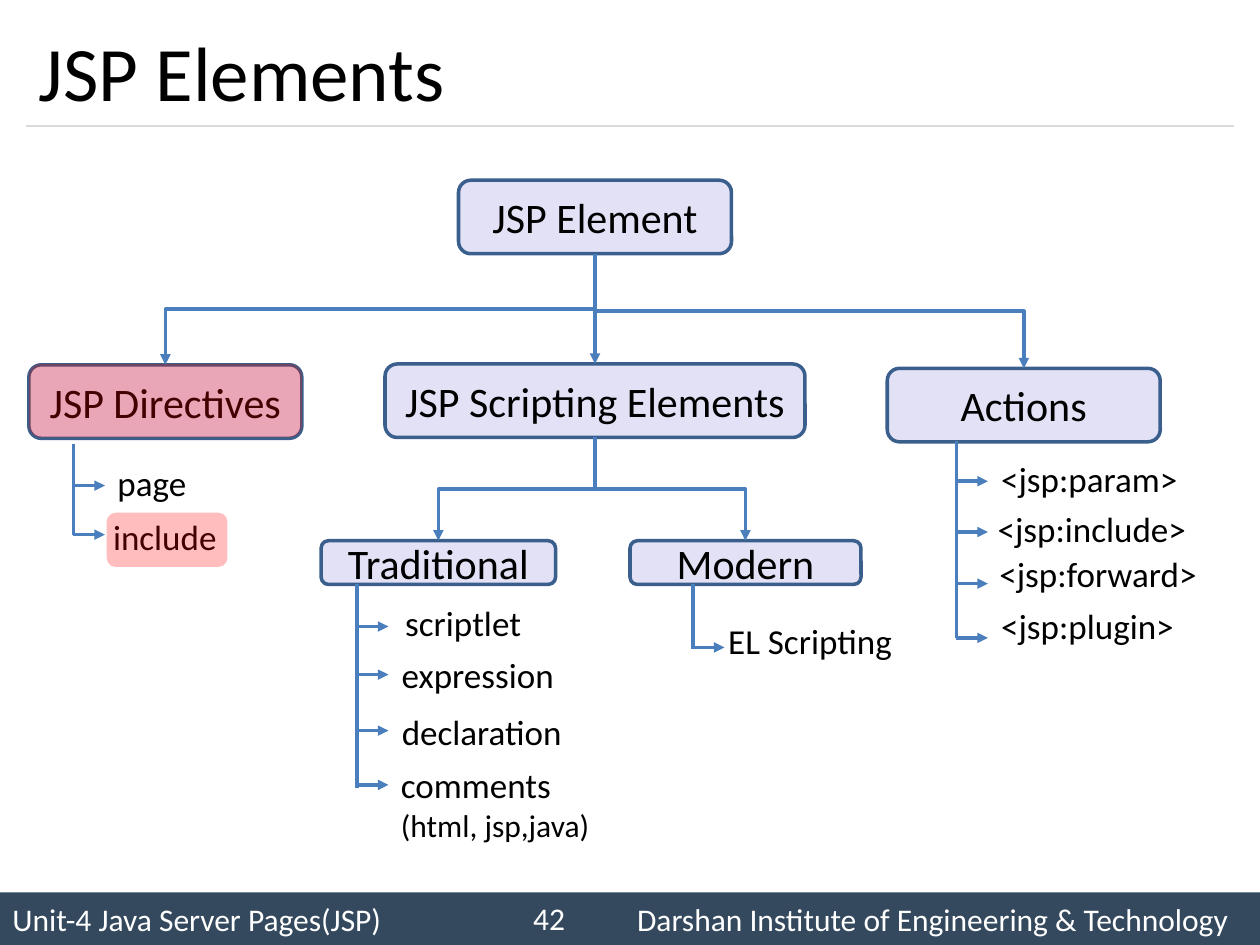
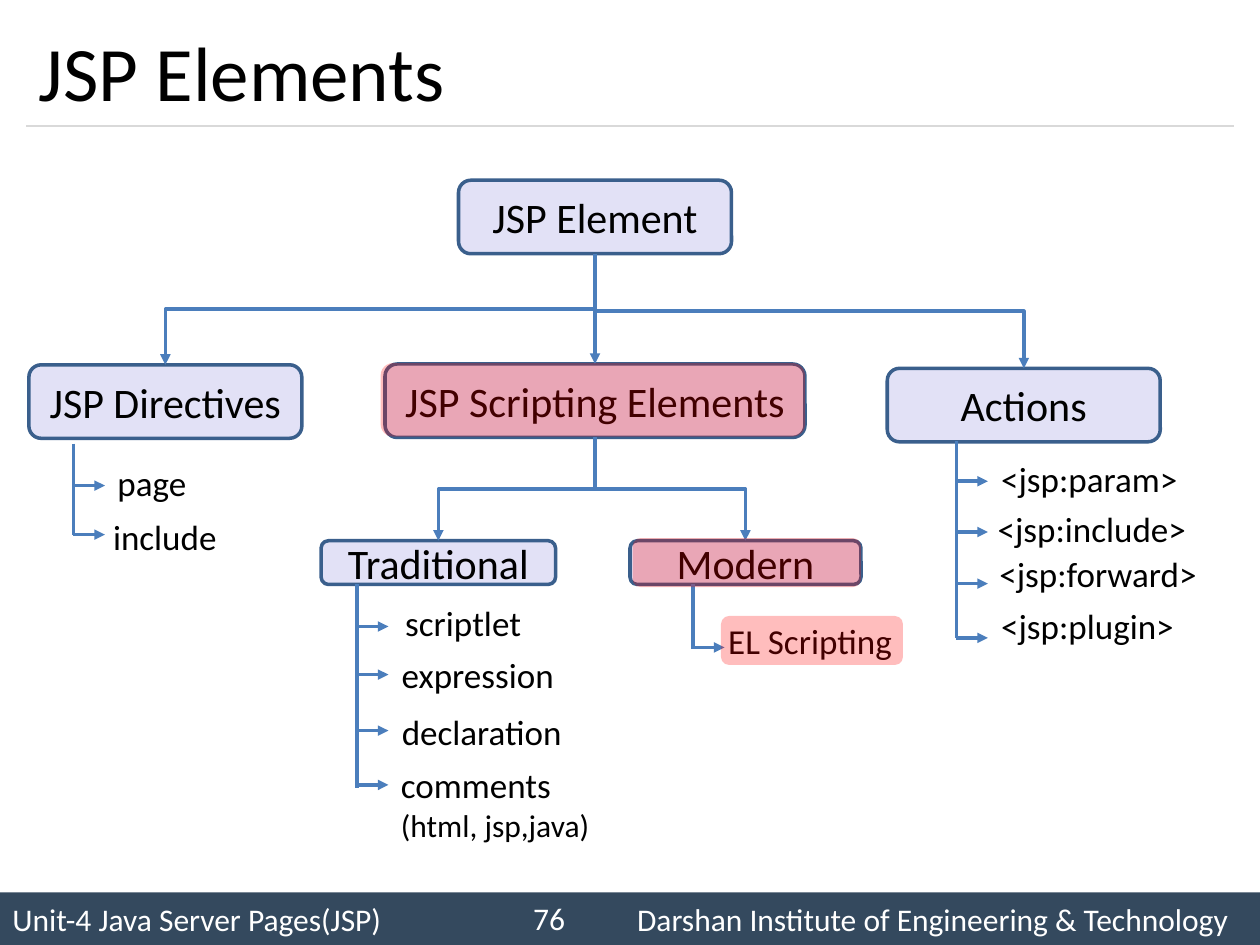
import pptx
import pptx.dml.color
import pptx.enum.shapes
import pptx.enum.text
import pptx.oxml
import pptx.oxml.ns
import pptx.util

Pt = pptx.util.Pt
SHAPE = pptx.enum.shapes.MSO_SHAPE
CONNECTOR = pptx.enum.shapes.MSO_CONNECTOR
ALIGN = pptx.enum.text.PP_ALIGN
MIDDLE = pptx.enum.text.MSO_ANCHOR.MIDDLE

FONT = "Calibri"
BLACK, WHITE, BAND, RULE = "000000", "FFFFFF", "34495E", "D9D9D9"
BOX_FILL, BOX_LINE, LINK, MARK = "130BB5", "3A5F8C", "4B7EBC", "FF0000"
BOTTOM, TOP = 2, 0
ARROW_LENGTH = 18

TITLE = "JSP Elements"
FOOTER = ("Unit-4 Java Server Pages(JSP)", "Darshan Institute of Engineering & Technology")
FOOTER_TAB = 357

BOXES = {
    "JSP Element": (262, 103, 156, 42),
    "JSP Directives": (16.5, 208.5, 156, 42),
    "JSP Scripting Elements": (220, 208, 240, 42),
    "Actions": (507, 210.5, 156, 42),
    "Traditional": (183.5, 309, 134, 25),
    "Modern": (360, 309, 132, 25),
}

PARENTS = {
    "JSP Element": ["JSP Directives", "JSP Scripting Elements", "Actions"],
    "JSP Scripting Elements": ["Traditional", "Modern"],
}

# trunk: x, top, bottom; items: lines, left, top, width, arrow height
BRANCHES = [
    ((42, 253.5, 305.5), [
        (["page"], 60, 260, 54, 277.5),
        (["include"], 57.5, 291, 74, 305.5),
    ]),
    ((204, 334, 450), [
        (["scriptlet"], 224.5, 340, 81, 358),
        (["expression"], 222.5, 370, 102, 385.5),
        (["declaration"], 222.5, 402.5, 107, 417.5),
        (["comments", "(html, jsp,java)"], 222, 433, 123, 448.5),
    ]),
    ((396, 334, 371), [
        (["EL Scripting"], 409, 350.5, 109.5, 370),
    ]),
    ((546.5, 252, 364.5), [
        (["<jsp:param>"], 565, 258, 116.5, 275),
        (["<jsp:include>"], 563, 286.5, 123, 304),
        (["<jsp:forward>"], 564, 312, 128, 333.5),
        (["<jsp:plugin>"], 565, 342, 114.5, 364.5),
    ]),
]

SLIDES = [
    ("42", [(16.5, 208, 156, 42), (61, 293, 69, 31)]),
    ("76", [(217.5, 207.5, 242.5, 42), (361.5, 307.5, 130.5, 28), (412, 352, 104, 28)]),
]


def rgb(colour):
    """Turn a hex string into a colour."""
    return pptx.dml.color.RGBColor.from_string(colour)


def element(tag, **attributes):
    """Make an empty drawing element."""
    made = pptx.oxml.parse_xml(f"<a:{tag} {pptx.oxml.ns.nsdecls('a')}/>")
    for key, value in attributes.items():
        made.set(key, str(value))
    return made


def write(paragraph, text, size, colour=BLACK, align=ALIGN.LEFT):
    """Add one formatted run to a paragraph."""
    paragraph.alignment = align
    run = paragraph.add_run()
    run.text = text
    run.font.name, run.font.size = FONT, Pt(size)
    run.font.color.rgb = rgb(colour)


def panel(slide, kind, place, fill, alpha=100, line=None):
    """Draw a filled shape."""
    shape = slide.shapes.add_shape(kind, *map(Pt, place))
    shape.shadow.inherit = False
    shape.fill.solid()
    shape.fill.fore_color.rgb = rgb(fill)
    if alpha < 100:
        solid = shape.fill._xPr.find(pptx.oxml.ns.qn("a:solidFill"))
        solid[0].append(element("alpha", val=alpha * 1000))
    if line:
        shape.line.color.rgb = rgb(line)
        shape.line.width = Pt(2)
    else:
        shape.line.fill.background()
    shape.text_frame.vertical_anchor = MIDDLE
    return shape


def style_line(line, colour=LINK, width=2, arrow=False):
    """Format a connector."""
    line.line.color.rgb = rgb(colour)
    line.line.width = Pt(width)
    if arrow:
        line.line._get_or_add_ln().append(element("tailEnd", type="triangle"))
    line._element.spPr.append(element("effectLst"))


def straight(slide, x1, y1, x2, y2, **style):
    """Draw a straight line."""
    line = slide.shapes.add_connector(CONNECTOR.STRAIGHT, Pt(x1), Pt(y1), Pt(x2), Pt(y2))
    style_line(line, **style)


def link(slide, parent, child):
    """Join the bottom of a parent box to the top of its child."""
    x1, y1 = parent.left + parent.width // 2, parent.top + parent.height
    x2, y2 = child.left + child.width // 2, child.top
    kind = CONNECTOR.STRAIGHT if x1 == x2 else CONNECTOR.ELBOW
    line = slide.shapes.add_connector(kind, x1, y1, x2, y2)
    line.begin_connect(parent, BOTTOM)
    line.end_connect(child, TOP)
    if kind == CONNECTOR.ELBOW:
        drop, span = y2 - y1, abs(x2 - x1)
        line.left, line.top = (x1 + x2 - drop) // 2, (y1 + y2 - span) // 2
        line.width, line.height = drop, span
        rightward = x2 > x1
        frame = line._element.spPr.xfrm
        frame.set("rot", str((270 if rightward else 90) * 60000))
        frame.set("flipH", "1" if rightward else "0")
        frame.set("flipV", "0")
    style_line(line, arrow=True)


def add_frame(slide, number):
    """Add the title, its rule, the footer band and the page number."""
    band = panel(slide, SHAPE.RECTANGLE, (0, 510, 720, 30), BAND)
    footer = band.text_frame.paragraphs[0]
    tabs = element("tabLst")
    tabs.append(element("tab", pos=int(Pt(FOOTER_TAB)), algn="l"))
    footer._p.get_or_add_pPr().append(tabs)
    write(footer, "\t".join(FOOTER), 18, WHITE)
    straight(slide, 15, 72, 705, 72, colour=RULE, width=0.75)

    title = slide.shapes.title
    title.left, title.top, title.width, title.height = map(Pt, (15, 9, 690, 63))
    title.text_frame.vertical_anchor = MIDDLE
    write(title.text_frame.paragraphs[0], TITLE, 44)

    page = slide.shapes.add_textbox(*map(Pt, (282, 510, 48, 29))).text_frame
    page.word_wrap = True
    page.vertical_anchor = MIDDLE
    write(page.paragraphs[0], number, 18, WHITE, ALIGN.RIGHT)


def add_branch(slide, trunk, items):
    """Draw a trunk with an arrow to each of its labels."""
    x, top, bottom = trunk
    straight(slide, x, top, x, bottom)
    for lines, left, label_top, width, arrow_y in items:
        straight(slide, x, arrow_y, x + ARROW_LENGTH, arrow_y, arrow=True)
        height = 31.5 if len(lines) == 1 else 53
        label = slide.shapes.add_textbox(*map(Pt, (left, label_top, width, height))).text_frame
        label.word_wrap = False
        label.auto_size = pptx.enum.text.MSO_AUTO_SIZE.SHAPE_TO_FIT_TEXT
        write(label.paragraphs[0], lines[0], 20)
        for detail in lines[1:]:
            write(label.add_paragraph(), detail, 18)


def add_tree(slide):
    """Draw the boxes, their links and their branches."""
    boxes = {}
    for name, place in BOXES.items():
        boxes[name] = panel(slide, SHAPE.ROUNDED_RECTANGLE, place, BOX_FILL, 12, BOX_LINE)
        boxes[name].text_frame.word_wrap = True
        write(boxes[name].text_frame.paragraphs[0], name, 24, align=ALIGN.CENTER)
    for parent, children in PARENTS.items():
        for child in children:
            link(slide, boxes[parent], boxes[child])
    for trunk, items in BRANCHES:
        add_branch(slide, trunk, items)


def main():
    """Build both slides and save them."""
    deck = pptx.Presentation()
    deck.slide_width, deck.slide_height = Pt(720), Pt(540)
    for number, marks in SLIDES:
        slide = deck.slides.add_slide(deck.slide_layouts[5])
        add_frame(slide, number)
        add_tree(slide)
        for place in marks:
            panel(slide, SHAPE.ROUNDED_RECTANGLE, place, MARK, 26)
    deck.save("out.pptx")


if __name__ == "__main__":
    main()
